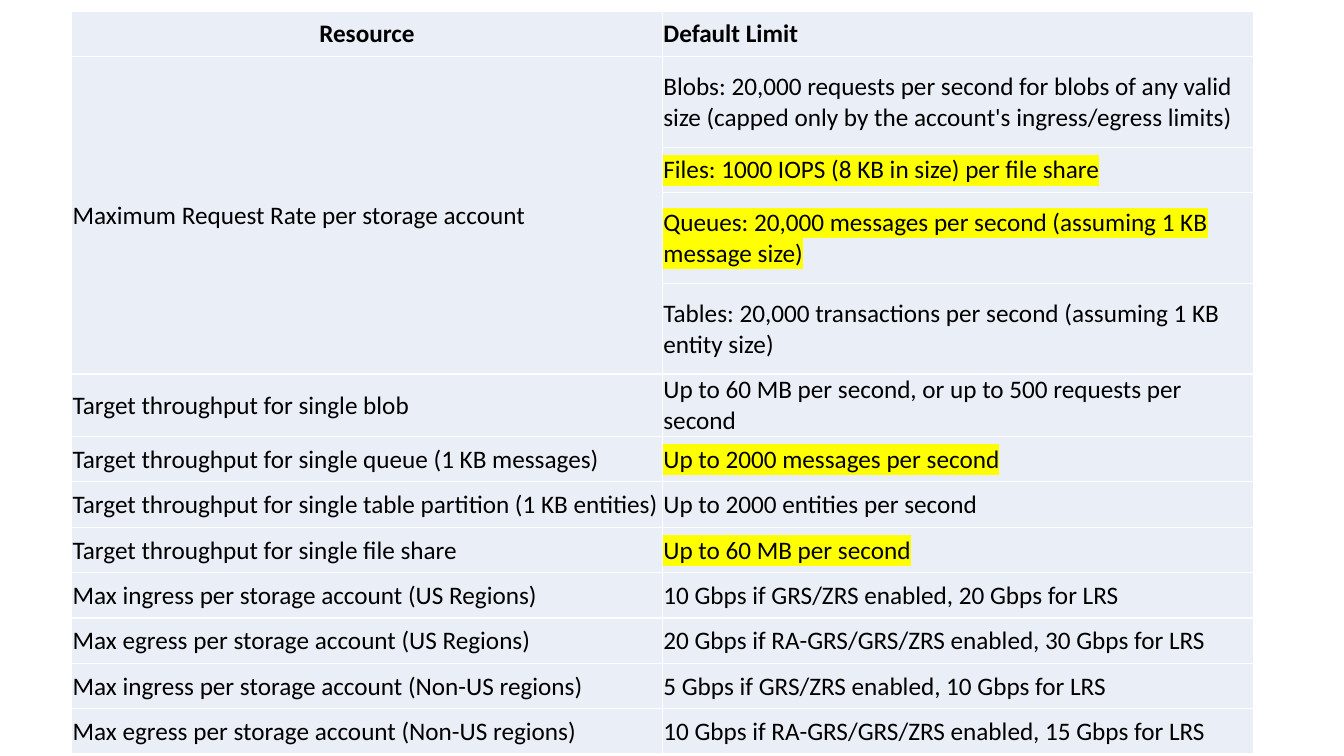
import pptx
import pptx.dml.color
import pptx.enum.text
import pptx.oxml
import pptx.oxml.ns
import pptx.util

Inches, Pt = pptx.util.Inches, pptx.util.Pt

# Each resource with its limits: (text, height of the row in inches, highlighted)
HEADINGS = ("Resource", "Default Limit")
LIMITS = [
    ("Maximum Request Rate per storage account", [
        ("Blobs: 20,000 requests per second for blobs of any valid size "
         "(capped only by the account's ingress/egress limits)", 0.9, False),
        ("Files: 1000 IOPS (8 KB in size) per file share", 0.45, True),
        ("Queues: 20,000 messages per second (assuming 1 KB message size)", 0.9, True),
        ("Tables: 20,000 transactions per second (assuming 1 KB entity size)", 0.9, False)]),
    ("Target throughput for single blob", [
        ("Up to 60 MB per second, or up to 500 requests per second", 0.45, False)]),
    ("Target throughput for single queue (1 KB messages)", [
        ("Up to 2000 messages per second", 0.45, True)]),
    ("Target throughput for single table partition (1 KB entities)", [
        ("Up to 2000 entities per second", 0.45, False)]),
    ("Target throughput for single file share", [
        ("Up to 60 MB per second", 0.45, True)]),
    ("Max ingress per storage account (US Regions)", [
        ("10 Gbps if GRS/ZRS enabled, 20 Gbps for LRS", 0.45, False)]),
    ("Max egress per storage account (US Regions)", [
        ("20 Gbps if RA-GRS/GRS/ZRS enabled, 30 Gbps for LRS", 0.45, False)]),
    ("Max ingress per storage account (Non-US regions)", [
        ("5 Gbps if GRS/ZRS enabled, 10 Gbps for LRS", 0.45, False)]),
    ("Max egress per storage account (Non-US regions)", [
        ("10 Gbps if RA-GRS/GRS/ZRS enabled, 15 Gbps for LRS", 0.45, False)]),
]
HEADING_HEIGHT = 0.45
LEFT, TOP, COLUMN_WIDTH = 0.71, 0.11, 5.86
TEXT, FILL, BORDER, HIGHLIGHT = "000000", "EAEFF7", "FFFFFF", "FFFF00"


def color(hex_value):
    """Turn a hex string into a colour."""
    return pptx.dml.color.RGBColor.from_string(hex_value)


def xml(tag, attributes, content):
    """Build one drawing element from its tag, attributes and inner XML."""
    namespace = pptx.oxml.ns.nsdecls("a")
    return pptx.oxml.parse_xml(f"<a:{tag} {namespace} {attributes}>{content}</a:{tag}>")


def style_cell(cell):
    """Give a cell its fill, margins and thin borders."""
    cell.fill.solid()
    cell.fill.fore_color.rgb = color(FILL)
    cell.vertical_anchor = pptx.enum.text.MSO_ANCHOR.MIDDLE
    cell.margin_left = cell.margin_right = cell.margin_top = Inches(0.01)
    cell.margin_bottom = 0
    line = f'<a:solidFill><a:srgbClr val="{BORDER}"/></a:solidFill>'
    properties = cell._tc.get_or_add_tcPr()
    for position, side in enumerate(("lnL", "lnR", "lnT", "lnB")):
        properties.insert(position, xml(side, f'w="{Pt(1)}"', line))


def write(cell, text, bold=False, highlighted=False):
    """Put text in a cell, optionally bold or highlighted."""
    paragraph = cell.text_frame.paragraphs[0]
    run = paragraph.add_run()
    run.text = text
    font = paragraph.font
    font.name, font.size, font.bold = "Calibri", Pt(18), bold
    font.color.rgb = color(TEXT)
    if highlighted:
        marker = f'<a:srgbClr val="{HIGHLIGHT}"/>'
        run._r.get_or_add_rPr().append(xml("highlight", "", marker))


presentation = pptx.Presentation()
presentation.slide_width, presentation.slide_height = Inches(13.33), Inches(7.5)
slide = presentation.slides.add_slide(presentation.slide_layouts[6])

heights = [HEADING_HEIGHT] + [height for _, limits in LIMITS for _, height, _ in limits]
limits_table = slide.shapes.add_table(
    len(heights), len(HEADINGS), Inches(LEFT), Inches(TOP),
    Inches(COLUMN_WIDTH * len(HEADINGS)), Inches(sum(heights))).table
limits_table.first_row = limits_table.horz_banding = False
for column in limits_table.columns:
    column.width = Inches(COLUMN_WIDTH)
for row, height in zip(limits_table.rows, heights):
    row.height = Inches(height)
for cell in limits_table.iter_cells():
    style_cell(cell)

for column_index, heading in enumerate(HEADINGS):
    write(limits_table.cell(0, column_index), heading, bold=True)
resource_heading = limits_table.cell(0, 0).text_frame.paragraphs[0]
resource_heading.alignment = pptx.enum.text.PP_ALIGN.CENTER

row_index = 1
for resource, limits in LIMITS:
    resource_cell = limits_table.cell(row_index, 0)
    if len(limits) > 1:
        resource_cell.merge(limits_table.cell(row_index + len(limits) - 1, 0))
    write(resource_cell, resource)
    for limit, _, highlighted in limits:
        write(limits_table.cell(row_index, 1), limit, highlighted=highlighted)
        row_index += 1

presentation.save("out.pptx")
